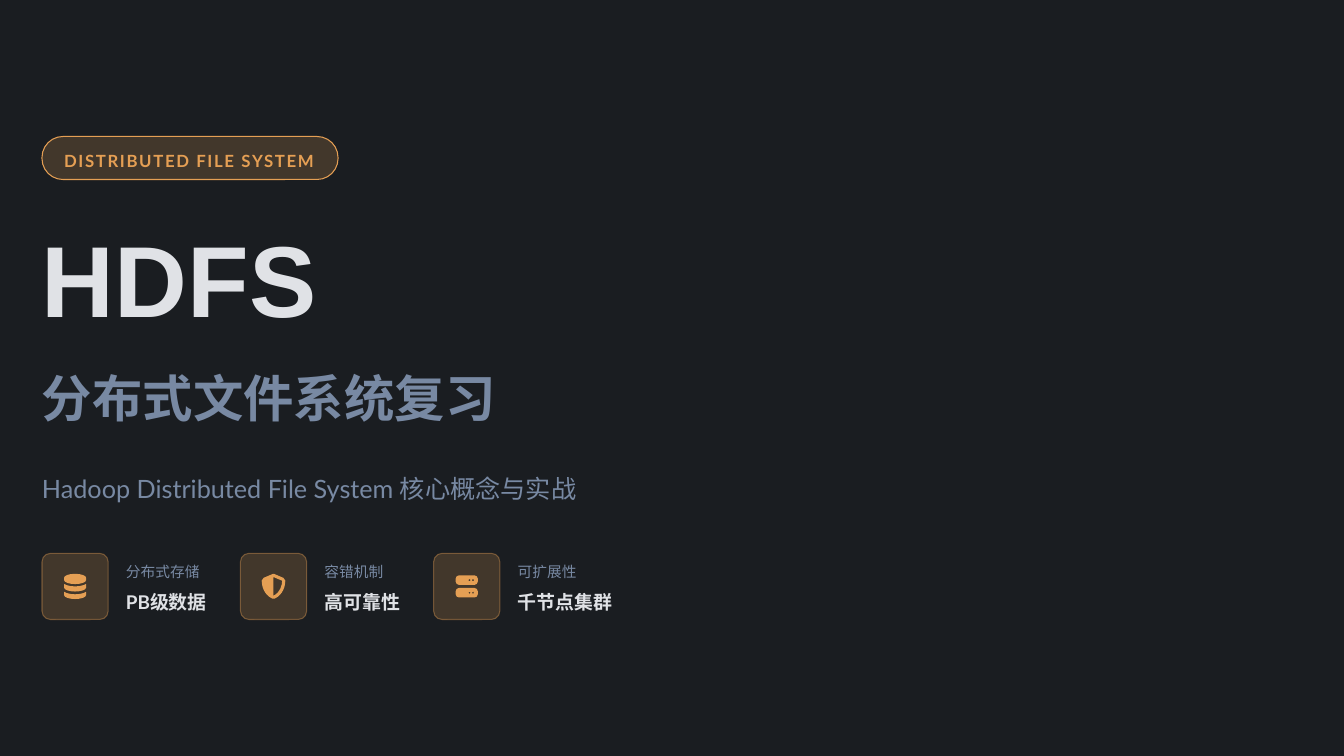
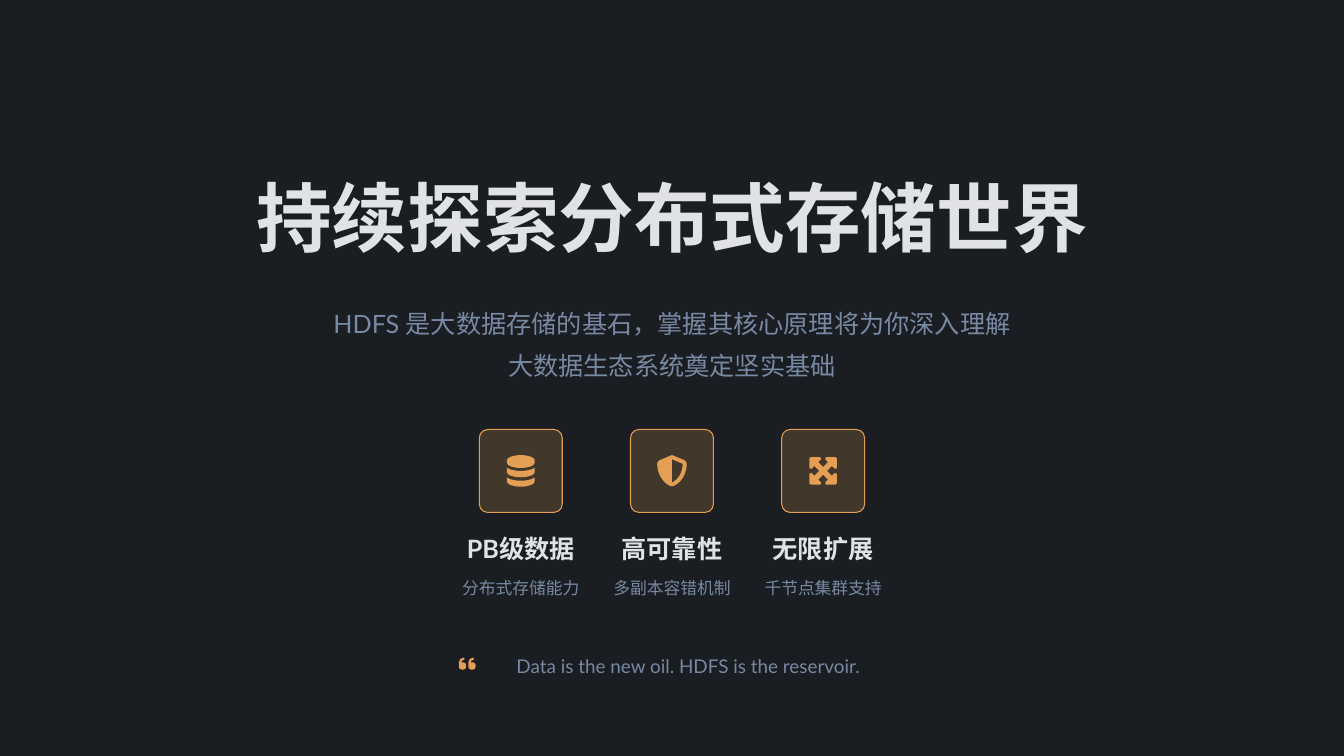
from lxml import etree
from pptx import Presentation
from pptx.dml.color import RGBColor
from pptx.enum.shapes import MSO_SHAPE
from pptx.enum.text import MSO_ANCHOR, PP_ALIGN
from pptx.oxml.ns import qn
from pptx.util import Pt

ROUND = MSO_SHAPE.ROUNDED_RECTANGLE
MID = MSO_ANCHOR.MIDDLE
LEFT, CENTER = PP_ALIGN.LEFT, PP_ALIGN.CENTER

# Shared style: 72 px to the inch
PX = 12700
WIDE, HIGH = 1280, 720
DARK, AMBER, LIGHT, SLATE = "1A1D21", "E59F54", "E0E2E6", "7889A3"
LATO, ARIAL, NOTO = "Lato", "Arial", "Noto Sans CJK SC"

# Content
BADGE = "DISTRIBUTED FILE SYSTEM"
COVER = "HDFS"
SUB = "分布式文件系统复习"
INTRO = "Hadoop Distributed File System 核心概念与实战"
FACTS = [  # icon, label, value, value width
    ("disk", "分布式存储", "PB级数据", 86),
    ("shield", "容错机制", "高可靠性", 81),
    ("server", "可扩展性", "千节点集群", 99),
]
CLOSE = "持续探索分布式存储世界"
LEAD = ["HDFS 是大数据存储的基石，掌握其核心原理将为你深入理解",
        "大数据生态系统奠定坚实基础"]
POINTS = [
    ("disk", "PB级数据", "分布式存储能力"),
    ("shield", "高可靠性", "多副本容错机制"),
    ("expand", "无限扩展", "千节点集群支持"),
]
QUOTE = "Data is the new oil. HDFS is the reservoir."

# Icon outlines on a grid 512 high: a start, then lines (2 numbers) and curves (6)
DISK = [
    [(448, 205), (433, 215, 417, 223, 400, 229), (353, 246, 291, 256, 224, 256),
     (157, 256, 95, 246, 48, 229), (31, 223, 14, 215, 0, 205), (0, 280),
     (0, 324, 100, 360, 224, 360), (348, 360, 448, 324, 448, 280)],
    [(448, 128), (448, 80), (448, 36, 348, 0, 224, 0), (100, 0, 0, 36, 0, 80),
     (0, 128), (0, 172, 100, 208, 224, 208), (348, 208, 448, 172, 448, 128)],
    [(400, 389), (353, 406, 291, 416, 224, 416), (157, 416, 95, 406, 48, 389),
     (31, 383, 15, 375, 0, 365), (0, 432), (0, 476, 100, 512, 224, 512),
     (348, 512, 448, 476, 448, 432), (448, 365), (433, 375, 417, 383, 400, 389)],
]
SHIELD = [
    [(256, 0), (261, 0, 265, 1, 269, 3), (458, 83), (480, 92, 496, 114, 496, 140),
     (496, 239, 455, 421, 282, 503), (266, 511, 246, 511, 230, 503),
     (57, 421, 16, 239, 16, 140), (16, 114, 32, 92, 54, 83), (243, 3),
     (247, 1, 251, 0, 256, 0)],
    [(256, 67), (256, 445), (394, 378, 431, 230, 432, 141)],
]
RACK = [(64, 32), (29, 32, 0, 61, 0, 96), (0, 160), (0, 195, 29, 224, 64, 224),
        (384, 224), (419, 224, 448, 195, 448, 160), (448, 96),
        (448, 61, 419, 32, 384, 32)]
LAMP = [(280, 104), (293, 104, 304, 115, 304, 128), (304, 141, 293, 152, 280, 152),
        (267, 152, 256, 141, 256, 128), (256, 115, 267, 104, 280, 104)]
ARROW = [(224, 192), (145, 113), (185, 73), (192, 66, 194, 56, 190, 47),
         (186, 38, 178, 32, 168, 32), (24, 32), (11, 32, 0, 43, 0, 56), (0, 200),
         (0, 210, 6, 218, 15, 222), (24, 226, 34, 224, 41, 217), (81, 177)]
MARK = [(0, 216), (0, 150, 54, 96, 120, 96), (128, 96), (146, 96, 160, 110, 160, 128),
        (160, 146, 146, 160, 128, 160), (120, 160), (89, 160, 64, 185, 64, 216),
        (64, 224), (128, 224), (163, 224, 192, 253, 192, 288), (192, 352),
        (192, 387, 163, 416, 128, 416), (64, 416), (29, 416, 0, 387, 0, 352)]


def pairs(nums):
    return list(zip(nums[::2], nums[1::2]))


def shift(path, dx, dy):
    return [[n + (dx, dy)[i % 2] for i, n in enumerate(step)] for step in path]


def turn(path):
    """Rotate a quarter turn about the grid centre (224, 256)."""
    return [[n for x, y in pairs(step) for n in (y - 32, 480 - x)] for step in path]


arms = [ARROW]
for _ in range(3):
    arms.append(turn(arms[-1]))
rows = (0, 256)
ICONS = {  # grid width, outlines
    "disk": (448, DISK),
    "shield": (512, SHIELD),
    "server": (448, [shift(RACK, 0, y) for y in rows]
               + [shift(LAMP, x, y) for y in rows for x in (0, 72)]),
    "expand": (448, [sum(arms, [])]),
    "quote": (448, [shift(MARK, x, 0) for x in rows]),
}


# Helpers
def color(code):
    return RGBColor.from_string(code)


def fade(fill, percent):
    tone = fill._xPr.find(qn("a:solidFill"))[0]
    etree.SubElement(tone, qn("a:alpha"), val=str(percent * 1000))


def write(slide, text, box, size, tint=SLATE, font=LATO, bold=False, align=LEFT,
          lead=None, track=None, title=False):
    box = [n * PX for n in box]
    if title:
        shape = slide.shapes.title
        shape.left, shape.top, shape.width, shape.height = box
    else:
        shape = slide.shapes.add_textbox(*box)
    frame = shape.text_frame
    frame.word_wrap = True
    frame.vertical_anchor = MID
    frame.margin_left = frame.margin_top = frame.margin_right = frame.margin_bottom = 0
    frame.text = text
    for para in frame.paragraphs:
        para.alignment = align
        if lead:
            para.line_spacing = lead
        for run in para.runs:
            run.font.size = Pt(size)
            run.font.bold = bold
            run.font.color.rgb = color(tint)
            run.font.name = font
            props = run.font._element
            etree.SubElement(props, qn("a:ea"), typeface=NOTO)
            if track:
                props.set("spc", str(track))


def tile(slide, box, curve, edge=100):
    shape = slide.shapes.add_shape(ROUND, *[round(n * PX) for n in box])
    shape.shadow.inherit = False
    shape.adjustments[0] = curve / min(box[2:])
    shape.fill.solid()
    shape.fill.fore_color.rgb = color(AMBER)
    fade(shape.fill, 20)
    shape.line.color.rgb = color(AMBER)
    shape.line.width = Pt(1)
    if edge < 100:
        fade(shape.line.fill, edge)


def bend(shape, paths, left, top):
    """Turn the straight steps that stand for curves into Bezier curves."""
    steps = [step for path in paths for step in path[1:]]
    for line, step in zip(list(shape._element.iter(qn("a:lnTo"))), steps):
        if len(step) == 6:
            curve = etree.Element(qn("a:cubicBezTo"))
            for x, y in pairs(step):
                etree.SubElement(curve, qn("a:pt"), x=str(x - left), y=str(y - top))
            line.getparent().replace(line, curve)


def icon(slide, name, mid, size):
    """Draw an icon of the given height around a middle point."""
    wide, paths = ICONS[name]
    unit = size * PX / 512
    ends = [[tuple(step[-2:]) for step in path] for path in paths]
    pen = slide.shapes.build_freeform(*ends[0][0], scale=unit)
    for i, dots in enumerate(ends):
        if i:
            pen.move_to(*dots[0])
        pen.add_line_segments(dots[1:], close=True)
    shape = pen.convert_to_shape(round(mid[0] * PX - wide * unit / 2),
                                 round((mid[1] - size / 2) * PX))
    left, top = (min(dot[k] for dots in ends for dot in dots) for k in (0, 1))
    bend(shape, paths, left, top)
    shape.shadow.inherit = False
    shape.fill.solid()
    shape.fill.fore_color.rgb = color(AMBER)
    shape.line.fill.background()


def badge(slide, name, x, y, side, size, edge=100):
    tile(slide, (x, y, side, side), 8, edge)
    icon(slide, name, (x + side / 2, y + side / 2), size)


def cover(slide):
    x = 40
    tile(slide, (x, 130, 282, 41), 20)
    write(slide, BADGE, (61, 140, 249, 21), 16, AMBER, bold=True, lead=1.3, track=160)
    write(slide, COVER, (x, 204, 1248, 120), 96, LIGHT, ARIAL, bold=True, title=True)
    write(slide, SUB, (x, 348, 1224, 60), 48, bold=True)
    write(slide, INTRO, (x, 439, 780, 40), 24, lead=1.4)
    # Facts flow left to right with an equal gap
    for name, label, value, wide in FACTS:
        badge(slide, name, x, 527, 63, 24, edge=40)
        x += 80
        write(slide, label, (x, 533, wide, 20), 14, lead=1.2)
        write(slide, value, (x, 556, wide, 28), 18, LIGHT, bold=True, lead=1.3)
        x += wide + 23


def finish(slide):
    write(slide, CLOSE, (226, 161, 828, 90), 72, LIGHT, NOTO, bold=True,
          align=CENTER, title=True)
    write(slide, "\n".join(LEAD), (311, 283, 658, 78), 24, align=CENTER, lead=1.4)
    # Three columns around the slide's middle
    for i, (name, head, note) in enumerate(POINTS):
        mid = WIDE // 2 + (i - 1) * 144
        badge(slide, name, mid - 39.5, 409, 79, 30)
        write(slide, head, (mid - 62, 505, 124, 32), 24, LIGHT, bold=True,
              align=CENTER, lead=1.1)
        write(slide, note, (mid - 60, 545, 120, 24), 16, align=CENTER, lead=1.3)
    icon(slide, "quote", (445, 632), 18)
    write(slide, QUOTE, (460, 617, 391, 28), 18, align=CENTER, lead=1.3)


def main():
    prs = Presentation()
    prs.slide_width, prs.slide_height = WIDE * PX, HIGH * PX
    back = prs.slide_master.background.fill
    back.solid()
    back.fore_color.rgb = color(DARK)
    for draw in (cover, finish):
        draw(prs.slides.add_slide(prs.slide_layouts[5]))
    prs.save("out.pptx")


if __name__ == "__main__":
    main()
